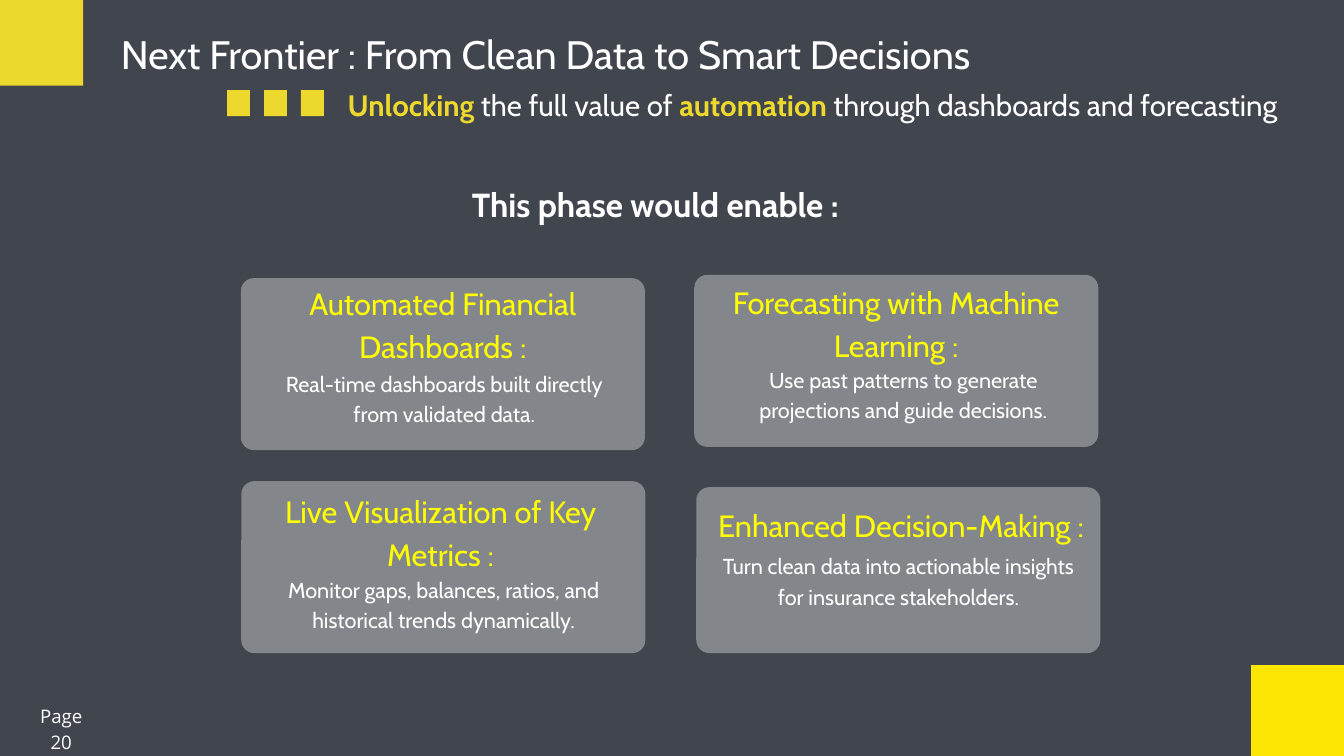
from lxml.etree import SubElement
from pptx import Presentation
from pptx.dml.color import RGBColor as RGB
from pptx.enum.shapes import MSO_SHAPE as SHAPE
from pptx.enum.text import MSO_ANCHOR as ANCHOR, MSO_AUTO_SIZE as AUTO, PP_ALIGN as ALIGN
from pptx.oxml.ns import qn
from pptx.util import Pt

SLATE = RGB(0x40, 0x45, 0x4E)
WHITE = RGB(0xFF, 0xFF, 0xFF)
GOLD = RGB(0xED, 0xD9, 0x2E)
SUN = RGB(0xFD, 0xE6, 0x03)
LEMON = RGB(0xFF, 0xFF, 0x00)
SILVER = RGB(0xD9, 0xD9, 0xD9)
RADIUS = 14

CARDS = [
    ((258, 298, 433, 184.3), "Automated Financial Dashboards :", (10, 1),
     "Real-time dashboards built directly from validated data.", (25, 94.4)),
    ((258.5, 515.5, 433, 184.3), "Live Visualization of Key Metrics :", (7.2, 6.5),
     "Monitor gaps, balances, ratios, and historical trends dynamically.", (23.8, 98)),
    ((743.8, 294.5, 433, 184.3), "Forecasting with Machine Learning :", (10, 3.6),
     "Use past patterns to generate projections and guide decisions.", (31, 93.6)),
    ((746, 522, 433, 177.8), "Enhanced Decision-Making :", (13, 14.4),
     "Turn clean data into actionable insights for insurance stakeholders.", (23.7, 66.2)),
]


def place(shape, box):
    """Move and size a shape to a box in points."""
    shape.left, shape.top, shape.width, shape.height = map(Pt, box)


def write(shape, runs, size, line, face="Cabin"):
    """Fill a shape with one centred paragraph of (text, colour, bold) runs."""
    frame = shape.text_frame
    frame.word_wrap = True
    frame.auto_size = AUTO.NONE
    frame.vertical_anchor = ANCHOR.TOP
    frame.margin_left = frame.margin_right = frame.margin_top = frame.margin_bottom = 0
    para = frame.paragraphs[0]
    para.alignment = ALIGN.CENTER
    para.line_spacing = Pt(line)
    for text, color, bold in runs:
        run = para.add_run()
        run.text = text
        font = run.font
        font.name, font.size, font.bold = face, Pt(size), bold
        font.color.rgb = color


def label(slide, box, runs, size, line, face="Cabin"):
    """Add a text box."""
    write(slide.shapes.add_textbox(*map(Pt, box)), runs, size, line, face)


def block(slide, box, color, kind=SHAPE.RECTANGLE):
    """Add a plain filled shape without outline."""
    shape = slide.shapes.add_shape(kind, *map(Pt, box))
    shape.shadow.inherit = False
    shape.fill.solid()
    shape.fill.fore_color.rgb = color
    shape.line.fill.background()
    return shape


def header(slide, box):
    """Place the title, the three small squares and the subtitle."""
    x, y, w, h = box
    title = slide.shapes.title
    place(title, (x, y, w, 57.6))
    write(title, [("Next Frontier : From Clean Data to Smart Decisions", WHITE, False)], 42.5, 59.6)
    for i in range(3):
        block(slide, (x + 180.7 + 39.6 * i, y + 72.7, 24.5, 28), GOLD)
    label(slide, (x + 283, y + 62.6, 1049.8, 43.2), [
        ("Unlocking", GOLD, True),
        (" the full value of ", WHITE, False),
        ("automation ", GOLD, True),
        ("through dashboards and forecasting", WHITE, False),
    ], 31.6, 44.3)


def card(slide, box, head, shift, body, drop):
    """Place a translucent rounded card with heading and body."""
    x, y, w, h = box
    panel = block(slide, box, SILVER, SHAPE.ROUNDED_RECTANGLE)
    panel.adjustments[0] = RADIUS / h
    tint = panel.fill._xPr.find(".//" + qn("a:srgbClr"))
    SubElement(tint, qn("a:alpha")).set("val", "44000")
    label(slide, (x + shift[0], y + shift[1], 412.6, 92), [(head, LEMON, False)], 32.9, 46)
    label(slide, (x + drop[0], y + drop[1], 386, 64), [(body, WHITE, False)], 23.2, 32.5)


def corners(slide, wide, high):
    """Place the two corner squares and the page number."""
    block(slide, (-20.9, -13.7, 110, 105.5), GOLD)
    block(slide, (wide - 99.4, high - 97.4, 110, 105.5), SUN)
    label(slide, (34.6, high - 59, 62, 56), [("Page 20", WHITE, False)], 20, 28, "Open Sans")


def main():
    """Build and save the slide."""
    deck = Presentation()
    deck.slide_width, deck.slide_height = Pt(1440), Pt(810)
    slide = deck.slides.add_slide(deck.slide_layouts[5])
    slide.background.fill.solid()
    slide.background.fill.fore_color.rgb = SLATE
    header(slide, (62.6, 23.8, 1044, 106))
    corners(slide, 1440, 810)
    label(slide, (481, 190.8, 442, 47.5), [("This phase would enable :", WHITE, True)], 35.7, 49.9)
    for item in CARDS:
        card(slide, *item)
    deck.save("out.pptx")


if __name__ == "__main__":
    main()
